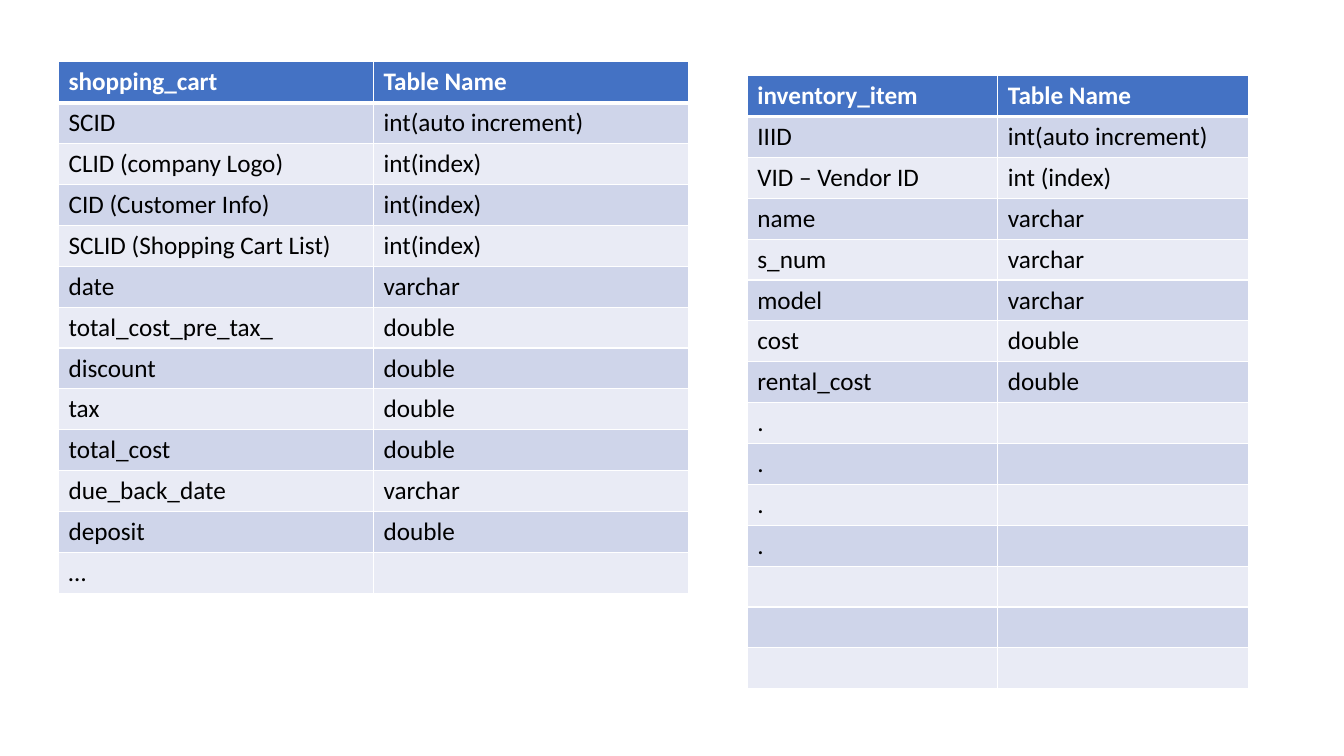
from lxml.etree import SubElement
from pptx import Presentation
from pptx.dml.color import RGBColor
from pptx.oxml.ns import qn
from pptx.util import Pt

WHITE = RGBColor(0xFF, 0xFF, 0xFF)
BLACK = RGBColor(0x00, 0x00, 0x00)
HEADER_BLUE = RGBColor(0x44, 0x72, 0xC4)
BAND_DARK = RGBColor(0xCF, 0xD5, 0xEA)
BAND_LIGHT = RGBColor(0xE9, 0xEB, 0xF5)

FONT = "Calibri"
ROW_HEIGHT = Pt(29.2)
THIN, THICK = Pt(1), Pt(3)

SHOPPING_CART = [
    ("shopping_cart", "Table Name"),
    ("SCID", "int(auto increment)"),
    ("CLID (company Logo)", "int(index)"),
    ("CID (Customer Info)", "int(index)"),
    ("SCLID (Shopping Cart List)", "int(index)"),
    ("date", "varchar"),
    ("total_cost_pre_tax_", "double"),
    ("discount", "double"),
    ("tax", "double"),
    ("total_cost", "double"),
    ("due_back_date", "varchar"),
    ("deposit", "double"),
    ("…", ""),
]

INVENTORY_ITEM = [
    ("inventory_item", "Table Name"),
    ("IIID", "int(auto increment)"),
    ("VID – Vendor ID", "int (index)"),
    ("name", "varchar"),
    ("s_num", "varchar"),
    ("model", "varchar"),
    ("cost", "double"),
    ("rental_cost", "double"),
    *[(".", "")] * 4,
    *[("", "")] * 3,
]


def add_borders(cell, top, bottom):
    """Draw white rules around a cell; call before filling it."""
    properties = cell._tc.get_or_add_tcPr()
    for side, width in (("L", THIN), ("R", THIN), ("T", top), ("B", bottom)):
        rule = SubElement(properties, qn(f"a:ln{side}"), w=str(width))
        paint = SubElement(rule, qn("a:solidFill"))
        SubElement(paint, qn("a:srgbClr"), val=str(WHITE))


def format_cell(cell, text, row_index):
    is_header = row_index == 0
    add_borders(cell,
                top=THICK if row_index == 1 else THIN,
                bottom=THICK if is_header else THIN)

    # Header colour, then alternating bands
    band = BAND_DARK if row_index % 2 else BAND_LIGHT
    cell.fill.solid()
    cell.fill.fore_color.rgb = HEADER_BLUE if is_header else band

    paragraph = cell.text_frame.paragraphs[0]
    paragraph.font.size = Pt(18)
    if text:
        run = paragraph.add_run()
        run.text = text
        run.font.name = FONT
        run.font.size = Pt(18)
        run.font.bold = is_header
        run.font.color.rgb = WHITE if is_header else BLACK


def add_schema(slide, fields, left, top, column_width):
    schema = slide.shapes.add_table(
        len(fields), 2, left, top,
        column_width * 2, ROW_HEIGHT * len(fields)).table
    for column in schema.columns:
        column.width = column_width
    for row_index, field in enumerate(fields):
        schema.rows[row_index].height = ROW_HEIGHT
        for column_index, text in enumerate(field):
            format_cell(schema.cell(row_index, column_index), text, row_index)


def main():
    presentation = Presentation()
    presentation.slide_width = Pt(960)
    presentation.slide_height = Pt(540)
    slide = presentation.slides.add_slide(presentation.slide_layouts[6])

    # Inventory on the right, shopping cart on the left
    add_schema(slide, INVENTORY_ITEM, Pt(533.8), Pt(54), Pt(179))
    add_schema(slide, SHOPPING_CART, Pt(41.8), Pt(44.2), Pt(225))

    presentation.save("out.pptx")


if __name__ == "__main__":
    main()
